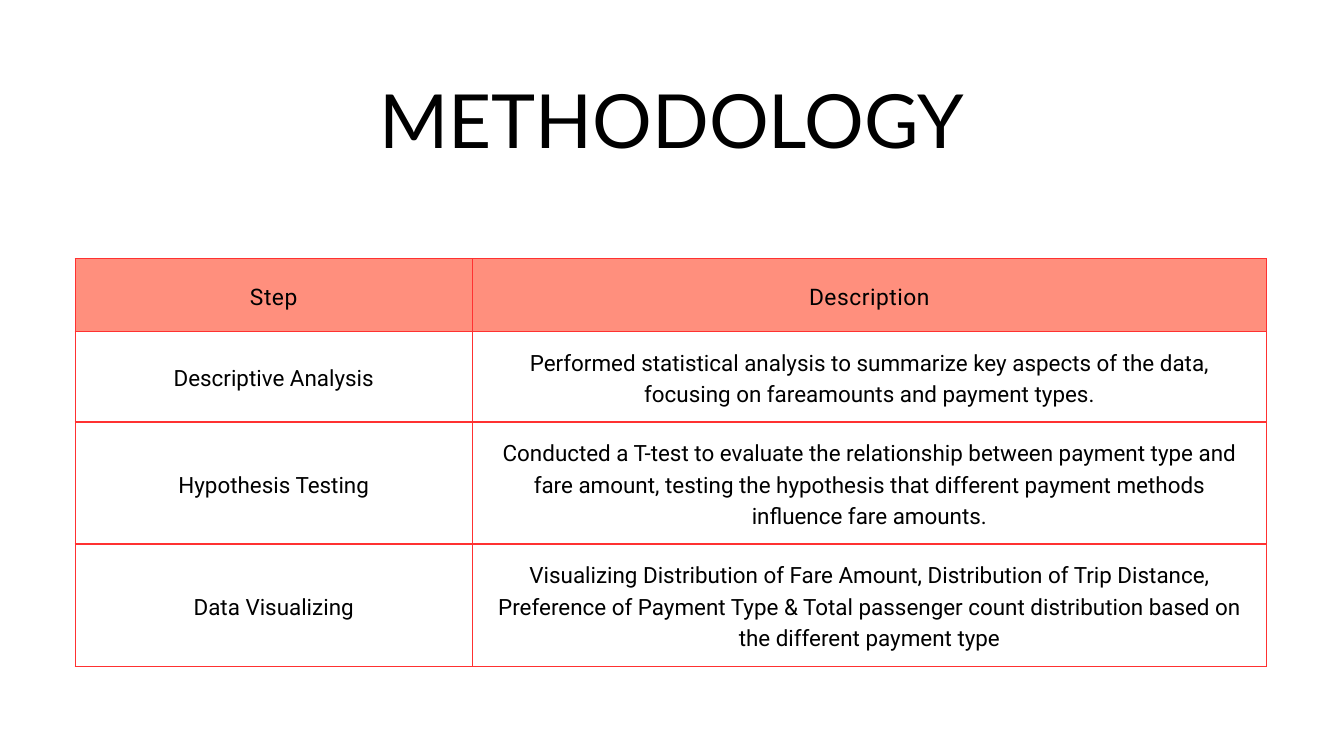
from dataclasses import dataclass

from lxml.etree import SubElement
from pptx import Presentation
from pptx.dml.color import RGBColor
from pptx.enum.text import MSO_ANCHOR, MSO_AUTO_SIZE, PP_ALIGN
from pptx.oxml.ns import qn
from pptx.util import Cm, Pt

COLORS = {"text": "000000", "header": "FF8F7D", "border": "FF3131"}
COL_WIDTHS = (15.01, 30.02)
MARGIN = Cm(0.53)


@dataclass(frozen=True)
class Step:
    name: str
    description: str
    height: float
    header: bool = False


STEPS = (
    Step("Step", "Description", 2.74, header=True),
    Step(
        "Descriptive Analysis",
        "Performed statistical analysis to summarize key aspects of the data, "
        "focusing on fareamounts and payment types.",
        3.4,
    ),
    Step(
        "Hypothesis Testing",
        "Conducted a T-test to evaluate the relationship between payment type and "
        "fare amount, testing the hypothesis that different payment methods "
        "influence fare amounts.",
        4.57,
    ),
    Step(
        "Data Visualizing",
        "Visualizing Distribution of Fare Amount, Distribution of Trip Distance, "
        "Preference of Payment Type & Total passenger count distribution based on "
        "the different payment type",
        4.57,
    ),
)


def write(tf, text: str, *, size: float, font: str, leading: float,
          spacing: float = 0, color: str = "text") -> None:
    tf.word_wrap = True
    p = tf.paragraphs[0]
    p.alignment = PP_ALIGN.CENTER
    p.line_spacing = Pt(leading)
    r = p.add_run()
    r.text = text
    r.font.size = Pt(size)
    r.font.name = font
    r.font.color.rgb = RGBColor.from_string(COLORS[color])
    if spacing:
        r.font._element.set("spc", str(round(spacing * 100)))


def set_borders(cell, widths: dict[str, float]) -> None:
    tcPr = cell._tc.get_or_add_tcPr()
    for i, (side, width) in enumerate(widths.items()):
        ln = SubElement(tcPr, qn(f"a:ln{side}"), w=str(Pt(width)))
        fill = SubElement(ln, qn("a:solidFill"))
        SubElement(fill, qn("a:srgbClr"), val=COLORS["border"])
        tcPr.insert(i, ln)


def fill_cell(cell, text: str, header: bool, below_header: bool) -> None:
    cell.vertical_anchor = MSO_ANCHOR.MIDDLE
    cell.margin_left = cell.margin_right = MARGIN
    cell.margin_top = cell.margin_bottom = MARGIN
    if header:
        cell.fill.solid()
        cell.fill.fore_color.rgb = RGBColor.from_string(COLORS["header"])
        write(cell.text_frame, text, size=24.4, font="Roboto", leading=34.2, spacing=0.6)
    else:
        cell.fill.background()
        write(cell.text_frame, text, size=24, font="Roboto", leading=33.6)
    set_borders(cell, {
        "L": 1.5,
        "R": 1.5,
        "T": 0.73 if below_header else 1.5,
        "B": 0.73 if header else 1.5,
    })


def add_steps_table(s, steps: tuple[Step, ...]) -> None:
    height = sum(step.height for step in steps)
    table = s.shapes.add_table(
        len(steps), len(COL_WIDTHS), Cm(2.84), Cm(9.78), Cm(sum(COL_WIDTHS)), Cm(height)
    ).table
    table.first_row = table.horz_banding = False
    for col, width in zip(table.columns, COL_WIDTHS):
        col.width = Cm(width)
    for i, step in enumerate(steps):
        table.rows[i].height = Cm(step.height)
        below_header = i > 0 and steps[i - 1].header
        for j, text in enumerate((step.name, step.description)):
            fill_cell(table.cell(i, j), text, step.header, below_header)


def add_title(s, text: str) -> None:
    sp = s.shapes.add_textbox(Cm(12.24), Cm(3.61), Cm(26.34), Cm(2.72))
    tf = sp.text_frame
    tf.margin_left = tf.margin_right = tf.margin_top = tf.margin_bottom = 0
    tf.auto_size = MSO_AUTO_SIZE.SHAPE_TO_FIT_TEXT
    write(tf, text, size=80, font="Lato", leading=72.8)


def main() -> None:
    prs = Presentation()
    prs.slide_width, prs.slide_height = Cm(50.8), Cm(28.58)
    s = prs.slides.add_slide(prs.slide_layouts[6])
    add_steps_table(s, STEPS)
    add_title(s, "METHODOLOGY")
    prs.save("out.pptx")


if __name__ == "__main__":
    main()
